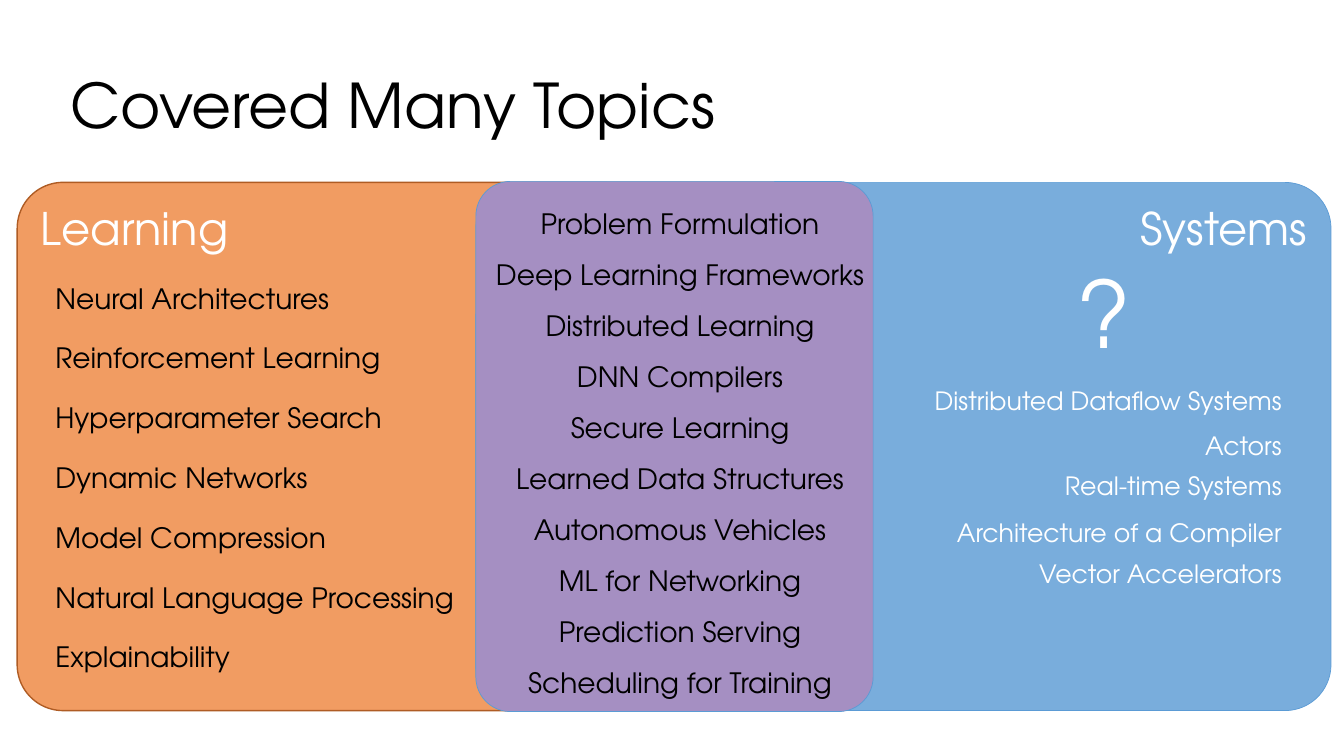
from dataclasses import dataclass
from typing import Any, NamedTuple, Optional

from lxml import etree
from pptx import Presentation
from pptx.dml.color import RGBColor
from pptx.enum.shapes import MSO_SHAPE
from pptx.enum.text import MSO_ANCHOR, PP_ALIGN
from pptx.oxml.ns import qn
from pptx.util import Inches, Pt

ROUNDED = MSO_SHAPE.ROUNDED_RECTANGLE
LEFT, CENTER, RIGHT = PP_ALIGN.LEFT, PP_ALIGN.CENTER, PP_ALIGN.RIGHT
TOP, MIDDLE = MSO_ANCHOR.TOP, MSO_ANCHOR.MIDDLE

# The slide is a grid of 100 columns by 100 rows
SLIDE_WIDTH, SLIDE_HEIGHT = Inches(13.33), Inches(7.5)
COLUMN, ROW = SLIDE_WIDTH / 100, SLIDE_HEIGHT / 100


@dataclass(frozen=True)
class Theme:
    font: str = "TeX Gyre Adventor"
    dark: str = "000000"
    light: str = "FFFFFF"
    orange: str = "ED7D31"
    orange_edge: str = "AF5C24"
    blue: str = "5B9BD5"
    purple: str = "A58FC2"
    title: int = 44
    heading: int = 32
    topic: int = 20
    system: int = 18
    question: int = 66
    corner: float = 0.087


THEME = Theme()


class Frame(NamedTuple):
    column: float
    row: float
    columns: float
    rows: float

    def emu(self) -> tuple[int, int, int, int]:
        return (round(self.column * COLUMN), round(self.row * ROW),
                round(self.columns * COLUMN), round(self.rows * ROW))


class Panel(NamedTuple):
    frame: Frame
    fill: str
    opacity: int
    edge: str
    edge_width: float
    heading: str = ""
    align: Any = LEFT


class TopicList(NamedTuple):
    column: float
    columns: float
    rows: list[float]
    topics: list[str]
    size: int
    color: str
    align: Any


def write(frame: Any, text: str, *, size: int, color: str, align: Any = LEFT,
          anchor: Any = TOP, spacing: Optional[float] = None) -> None:
    """Put one formatted paragraph into a text frame."""
    frame.word_wrap = True
    frame.vertical_anchor = anchor
    paragraph = frame.paragraphs[0]
    paragraph.alignment = align
    if spacing:
        paragraph.line_spacing = spacing
    run = paragraph.add_run()
    run.text = text
    run.font.name = THEME.font
    run.font.size = Pt(size)
    run.font.color.rgb = RGBColor.from_string(color)


def add_text(slide: Any, frame: Frame, text: str, **style: Any) -> None:
    write(slide.shapes.add_textbox(*frame.emu()).text_frame, text, **style)


def add_panel(slide: Any, panel: Panel) -> None:
    shape = slide.shapes.add_shape(ROUNDED, *panel.frame.emu())
    shape.shadow.inherit = False
    shape.adjustments[0] = THEME.corner
    shape.fill.solid()
    shape.fill.fore_color.rgb = RGBColor.from_string(panel.fill)
    if panel.opacity < 100:
        color = shape.fill._xPr.find(qn("a:solidFill"))[0]
        etree.SubElement(color, qn("a:alpha"), val=str(panel.opacity * 1000))
    shape.line.color.rgb = RGBColor.from_string(panel.edge)
    shape.line.width = Pt(panel.edge_width)
    if panel.heading:
        write(shape.text_frame, panel.heading, size=THEME.heading,
              color=THEME.light, align=panel.align)


def add_topics(slide: Any, group: TopicList) -> None:
    for row, topic in zip(group.rows, group.topics, strict=True):
        add_text(slide, Frame(group.column, row, group.columns, 5.8), topic,
                 size=group.size, color=group.color, align=group.align)


def even_rows(first: float, step: float, count: int) -> list[float]:
    return [first + step * index for index in range(count)]


# Two overlapping fields and their intersection
PANELS = [
    Panel(Frame(1.28, 24.13, 63.62, 69.87), THEME.orange, 76,
          THEME.orange_edge, 1, "Learning"),
    Panel(Frame(35.41, 24.13, 63.62, 69.87), THEME.blue, 81,
          THEME.blue, 0.5, "Systems", RIGHT),
    Panel(Frame(35.41, 24, 29.56, 70.13), THEME.purple, 100, THEME.blue, 0.5),
]

LEARNING = ["Neural Architectures", "Reinforcement Learning",
            "Hyperparameter Search", "Dynamic Networks", "Model Compression",
            "Natural Language Processing", "Explainability"]
SHARED = ["Problem Formulation", "Deep Learning Frameworks",
          "Distributed Learning", "DNN Compilers", "Secure Learning",
          "Learned Data Structures", "Autonomous Vehicles",
          "ML for Networking", "Prediction Serving",
          "Scheduling for Training"]
SYSTEMS = ["Distributed Dataflow Systems", "Actors", "Real-time Systems",
           "Architecture of a Compiler", "Vector Accelerators"]

TOPIC_LISTS = [
    TopicList(3.38, 32.5, even_rows(36.53, 7.91, len(LEARNING)), LEARNING,
              THEME.topic, THEME.dark, LEFT),
    TopicList(35.6, 30, even_rows(26.67, 6.74, len(SHARED)), SHARED,
              THEME.topic, THEME.dark, CENTER),
    TopicList(66.1, 30, [50.27, 56.27, 61.6, 67.73, 73.2], SYSTEMS,
              THEME.system, THEME.light, RIGHT),
]


def main() -> None:
    deck = Presentation()
    deck.slide_width, deck.slide_height = SLIDE_WIDTH, SLIDE_HEIGHT
    slide = deck.slides.add_slide(deck.slide_layouts[6])

    for panel in PANELS:
        add_panel(slide, panel)

    # Title
    add_text(slide, Frame(4.5, 4.67, 88.6, 19.33), "Covered Many Topics",
             size=THEME.title, color=THEME.dark, anchor=MIDDLE, spacing=0.9)

    for group in TOPIC_LISTS:
        add_topics(slide, group)

    # Open question above the systems topics
    add_text(slide, Frame(79.37, 33.2, 5.63, 16.13), "?",
             size=THEME.question, color=THEME.light)

    deck.save("out.pptx")


main()
